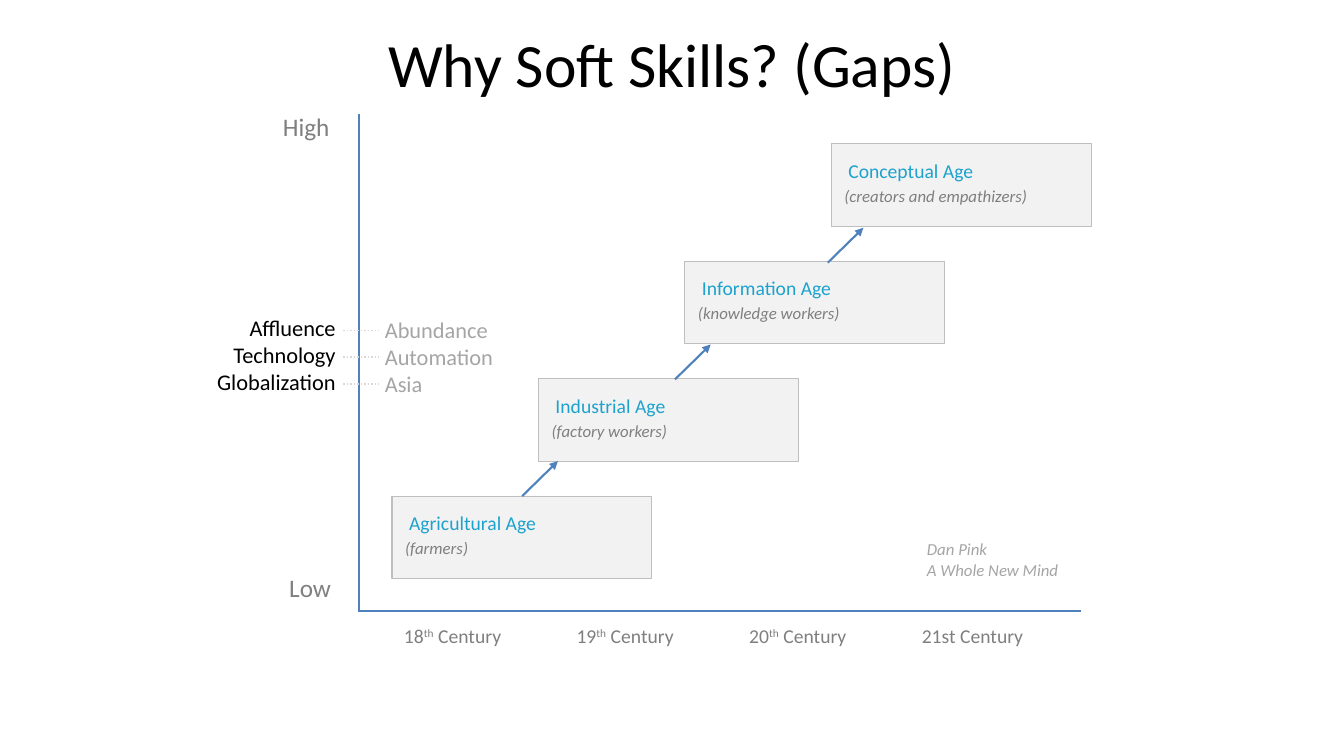
from lxml.etree import SubElement
from pptx import Presentation
from pptx.dml.color import RGBColor
from pptx.enum.dml import MSO_LINE
from pptx.enum.shapes import MSO_CONNECTOR, MSO_SHAPE
from pptx.enum.text import MSO_ANCHOR, PP_ALIGN
from pptx.oxml.ns import qn
from pptx.util import Cm, Pt

BLUE, CYAN, BLACK = "4F81BD", "1DA2CE", "000000"
GRAY, LIGHT_GRAY, DOT_GRAY = "7F7F7F", "A5A5A5", "D8D8D8"
PANEL, PANEL_EDGE = "F2F2F2", "BFBFBF"

# Age, its workers, and the widths of the two labels in cm
AGES = [
    ("Agricultural Age", "(farmers)", 3.76, 2.11),
    ("Industrial Age", "(factory workers)", 3.3, 3.45),
    ("Information Age", "(knowledge workers)", 3.81, 4.11),
    ("Conceptual Age", "(creators and empathizers)", 3.68, 5.16),
]
# Number, raised ending, rest, and width in cm
CENTURIES = [
    ("18", "th", " Century", 3.02),
    ("19", "th", " Century", 3.02),
    ("20", "th", " Century", 3.02),
    ("21st Century", "", "", 3.1),
]


def color(value):
    return RGBColor.from_string(value)


class Chart:
    """Draws on one page in one font; all lengths are in cm."""

    def __init__(self, page, font="Calibri"):
        self.page = page
        self.font = font

    def text(self, lines, left, top, width, height, size=14, ink=GRAY,
             italic=False, align=PP_ALIGN.LEFT, anchor=MSO_ANCHOR.TOP):
        """Each line is a string, or a tuple (base, raised, rest)."""
        box = self.page.shapes.add_textbox(Cm(left), Cm(top), Cm(width), Cm(height))
        frame = box.text_frame
        frame.word_wrap = False
        frame.vertical_anchor = anchor
        for index, line in enumerate(lines):
            para = frame.paragraphs[0] if index == 0 else frame.add_paragraph()
            para.alignment = align
            parts = (line,) if isinstance(line, str) else line
            for position, part in enumerate(parts):
                if not part:
                    continue
                span = para.add_run()
                span.text = part
                span.font.name = self.font
                span.font.size = Pt(size)
                span.font.italic = italic
                span.font.color.rgb = color(ink)
                if position == 1:
                    span.font._element.set("baseline", "30000")

    def panel(self, left, top, width, height):
        box = self.page.shapes.add_shape(
            MSO_SHAPE.RECTANGLE, Cm(left), Cm(top), Cm(width), Cm(height))
        box.shadow.inherit = False
        box.fill.solid()
        box.fill.fore_color.rgb = color(PANEL)
        box.line.color.rgb = color(PANEL_EDGE)
        box.line.width = Pt(0.75)

    def line(self, x1, y1, x2, y2, ink=BLUE, weight=1.5, dotted=False, arrow=False):
        connector = self.page.shapes.add_connector(
            MSO_CONNECTOR.STRAIGHT, Cm(x1), Cm(y1), Cm(x2), Cm(y2))
        connector.line.color.rgb = color(ink)
        connector.line.width = Pt(weight)
        if dotted:
            connector.line.dash_style = MSO_LINE.ROUND_DOT
        properties = connector._element.spPr
        if arrow:
            SubElement(properties.find(qn("a:ln")), qn("a:tailEnd"), type="triangle")
        SubElement(properties, qn("a:effectLst"))


def draw_axes(chart):
    chart.line(9.02, 15.39, 27.23, 15.39)
    chart.line(9.04, 2.87, 9.04, 15.39)
    chart.text(["High"], 6.88, 2.67, 1.7, 1.02, size=18)
    chart.text(["Low"], 7.04, 14.3, 1.57, 1.02, size=18)
    for index, (base, raised, rest, width) in enumerate(CENTURIES):
        chart.text([(base, raised, rest)], 9.93 + 4.35 * index, 15.6, width, 0.86)


def draw_ages(chart):
    for index, (age, workers, age_width, workers_width) in enumerate(AGES):
        left, top = 9.88 + 3.69 * index, 12.5 - 2.96 * index
        chart.panel(left, top, 6.55, 2.08)
        chart.text([age], left + 0.18, top + 0.26, age_width, 0.86, ink=CYAN)
        chart.text([workers], left + 0.08, top + 0.93, workers_width, 0.76,
                   size=12, italic=True)
    for index in range(len(AGES) - 1):
        x, y = 13.16 + 3.85 * index, 12.5 - 2.94 * index
        chart.line(x, y, x + 0.9, y - 0.88, arrow=True)


def draw_drivers(chart):
    chart.text(["Affluence", "Technology", "Globalization"], 5.18, 7.8, 3.53, 2.31,
               size=16, ink=BLACK, align=PP_ALIGN.RIGHT)
    chart.text(["Abundance", "Automation", "Asia"], 9.45, 7.85, 3.4, 2.31,
               size=16, ink=LIGHT_GRAY)
    for index in range(3):
        y = 8.33 + 0.67 * index
        chart.line(8.65, y, 9.56, y, ink=DOT_GRAY, weight=1.25, dotted=True)


def main():
    deck = Presentation()
    deck.slide_width, deck.slide_height = Cm(33.87), Cm(19.05)
    chart = Chart(deck.slides.add_slide(deck.slide_layouts[6]))
    draw_axes(chart)
    draw_ages(chart)
    draw_drivers(chart)
    chart.text(["Dan Pink", "A Whole New Mind"], 23.11, 13.46, 3.86, 1.27,
               size=12, ink=LIGHT_GRAY, italic=True)
    chart.text(["Why Soft Skills? (Gaps)"], 1.7, 0, 30.48, 3.18, size=44, ink=BLACK,
               align=PP_ALIGN.CENTER, anchor=MSO_ANCHOR.MIDDLE)
    deck.save("out.pptx")


if __name__ == "__main__":
    main()
